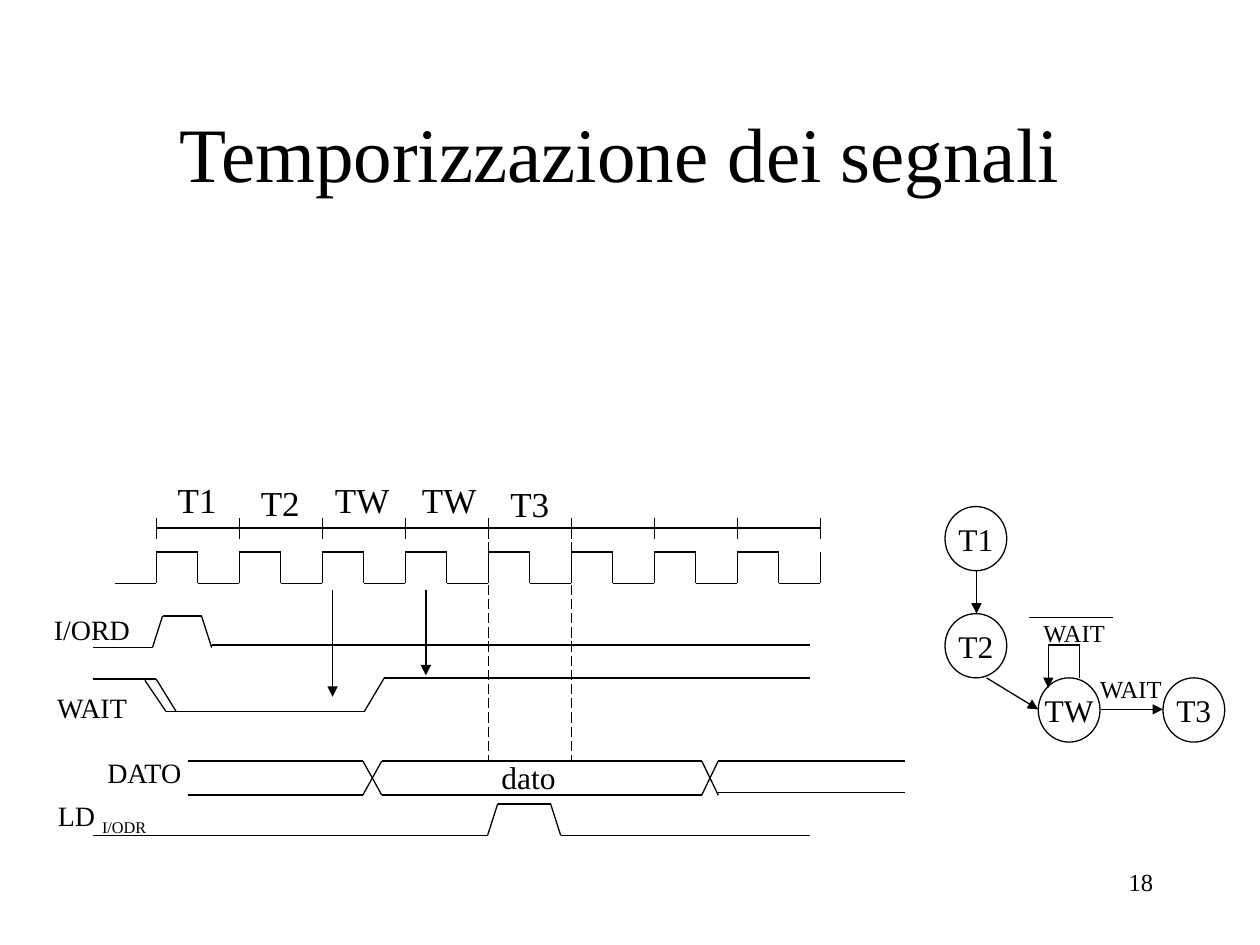
from dataclasses import dataclass
from itertools import pairwise

from lxml.etree import SubElement
from pptx import Presentation
from pptx.dml.color import RGBColor
from pptx.enum.dml import MSO_LINE as Dash
from pptx.enum.shapes import MSO_CONNECTOR as Link, MSO_SHAPE as Shape
from pptx.enum.text import MSO_ANCHOR as Anchor, PP_ALIGN as Align
from pptx.oxml.ns import qn
from pptx.util import Inches, Pt


@dataclass(frozen=True)
class Theme:
    """Hold the colours, type sizes and measures of the slide."""
    ink: RGBColor = RGBColor(0, 0, 0)
    face: str = "Times New Roman"
    title: int = 44
    phase: int = 20
    state: int = 18
    name: int = 16
    note: int = 14
    line: float = 0.75
    step: float = 5.27 / 8


THEME = Theme()


def style(para, size, align=Align.CENTER):
    """Give a paragraph the type of the slide."""
    para.alignment = align
    para.font.name = THEME.face
    para.font.size = Pt(size)
    para.font.color.rgb = THEME.ink


@dataclass
class Pen:
    """Draw lines and text relative to the corner of a region."""
    shapes: object
    left: float
    top: float

    def spot(self, x, y):
        """Turn a point of the region into slide lengths."""
        return Inches(self.left + x), Inches(self.top + y)

    def trace(self, *points, dash=None, arrow=False):
        """Join points with straight lines."""
        for start, end in pairwise(points):
            line = self.shapes.add_connector(
                Link.STRAIGHT, *self.spot(*start), *self.spot(*end))
            line.line.color.rgb = THEME.ink
            line.line.width = Pt(THEME.line)
            if dash:
                line.line.dash_style = dash
            if arrow:
                SubElement(line.line._get_or_add_ln(), qn("a:tailEnd"), type="triangle")
            SubElement(line._element.spPr, qn("a:effectLst"))

    def label(self, text, x, y, width, height, size, align=Align.CENTER):
        """Place a text and return its paragraph."""
        box = self.shapes.add_textbox(*self.spot(x, y), Inches(width), Inches(height))
        box.text_frame.word_wrap = False
        para = box.text_frame.paragraphs[0]
        para.text = text
        style(para, size, align)
        return para

    def state(self, text, x, y):
        """Place a state circle."""
        disc = self.shapes.add_shape(
            Shape.OVAL, *self.spot(x, y), Inches(0.49), Inches(0.51))
        disc.shadow.inherit = False
        disc.fill.background()
        disc.line.color.rgb = THEME.ink
        disc.line.width = Pt(THEME.line)
        frame = disc.text_frame
        frame.word_wrap = False
        frame.vertical_anchor = Anchor.MIDDLE
        frame.text = text
        style(frame.paragraphs[0], THEME.state)


def head(title, left, top, width, height):
    """Place and format the title."""
    title.left, title.top = Inches(left), Inches(top)
    title.width, title.height = Inches(width), Inches(height)
    title.text_frame.text = "Temporizzazione dei segnali"
    title.text_frame.vertical_anchor = Anchor.MIDDLE
    style(title.text_frame.paragraphs[0], THEME.title)


def ruler(pen):
    """Draw the clock periods and their names."""
    for i in range(9):
        x = i * THEME.step
        pen.trace((x, 0), (x, 0.17))
        if i < 8:
            pen.trace((x, 0.08), (x + THEME.step, 0.08))
    names = [("T1", 0.07, -0.36, 0.51), ("T2", 0.73, -0.34, 0.51),
             ("TW", 1.32, -0.36, 0.63), ("TW", 2.01, -0.36, 0.63),
             ("T3", 2.71, -0.33, 0.51)]
    for text, x, y, width in names:
        pen.label(text, x, y, width, 0.44, THEME.phase)


def clock(pen):
    """Draw the clock wave."""
    wave = [(0, 0.25), (0.33, 0.25)]
    for i in range(8):
        x = 0.33 + i * THEME.step
        half, end = x + THEME.step / 2, x + THEME.step
        wave += [(x, 0), (half, 0), (half, 0.25), (end, 0.25)]
    pen.trace(*wave, (end, 0))


def read(pen):
    """Draw the read signal."""
    pen.trace((0, 0.25), (0.47, 0.25), (0.55, 0), (0.86, 0), (0.94, 0.25))
    pen.trace((0.94, 0.23), (5.69, 0.23))
    pen.label("I/ORD", -0.41, -0.08, 0.8, 0.37, THEME.name)


def wait(pen):
    """Draw the wait signal."""
    pen.trace((0, 0), (0.5, 0), (0.66, 0.26), (2.15, 0.26), (2.31, -0.01), (5.69, -0.01))
    pen.trace((0.41, 0.01), (0.58, 0.26), (0.66, 0.26))
    pen.label("WAIT", -0.4, 0.04, 0.78, 0.37, THEME.name)


def data(pen):
    """Draw the data bus."""
    pen.trace((0, 0), (1.39, 0), (1.54, 0.27), (4.08, 0.27), (4.21, 0), (5.69, 0))
    pen.trace((0, 0.27), (1.39, 0.27), (1.54, 0), (4.08, 0), (4.21, 0.27))
    pen.trace((4.21, 0.25), (5.69, 0.25))
    pen.trace((4.64, -0.07), (4.64, -0.07))
    pen.label("DATO", -0.75, -0.09, 0.81, 0.37, THEME.name)
    pen.label("dato", 2.39, -0.07, 0.63, 0.4, THEME.state)


def load(pen):
    """Draw the load signal."""
    pen.trace((0, 0.25), (3.13, 0.25), (3.21, 0), (3.63, 0), (3.71, 0.25), (5.69, 0.25))
    para = pen.label("LD ", -0.38, -0.09, 0.9, 0.41, THEME.name)
    run = para.add_run()
    run.text = "I/ODR"
    run._r.get_or_add_rPr().set("baseline", "-25000")


def marks(pen):
    """Draw the sampling arrows and the T3 limits."""
    for i in (4, 5):
        x = i * THEME.step
        pen.trace((x, 0), (x, 1.86), dash=Dash.LONG_DASH)
    for x, end in ((1.4, 1.34), (2.14, 1.17)):
        pen.trace((x, 0.49), (x, end), arrow=True)


def states(pen):
    """Draw the state diagram."""
    for text, x, y in (("T1", 0, 0), ("T2", 0, 0.85), ("TW", 0.74, 1.36), ("T3", 1.73, 1.36)):
        pen.state(text, x, y)
    arrows = [((0.25, 0.51), (0.25, 0.85)), ((0.33, 1.36), (0.74, 1.61)),
              ((1.24, 1.61), (1.73, 1.61)), ((0.82, 1.1), (0.82, 1.44))]
    for ends in arrows:
        pen.trace(*ends, arrow=True)
    pen.trace((1.07, 1.36), (1.07, 1.1), (0.82, 1.1))
    pen.trace((0.67, 0.88), (1.33, 0.88))
    for x, y in ((0.67, 0.84), (1.12, 1.28)):
        pen.label("WAIT", x, y, 0.71, 0.34, THEME.note)


def main():
    """Build and save the slide."""
    deck = Presentation()
    deck.slide_width, deck.slide_height = Inches(10), Inches(7.5)
    slide = deck.slides.add_slide(deck.slide_layouts[5])
    head(slide.shapes.title, 0.67, 0.58, 8.5, 1.25)
    regions = [(ruler, 1.24, 4.11), (clock, 0.91, 4.38), (read, 0.74, 4.89),
               (wait, 0.74, 5.39), (data, 1.49, 6.04), (load, 0.74, 6.38),
               (marks, 1.24, 4.19), (states, 7.5, 4.02)]
    for draw, left, top in regions:
        draw(Pen(slide.shapes, left, top))
    Pen(slide.shapes, 7.17, 6.83).label("18", 0, 0, 2.08, 0.5, THEME.note, Align.RIGHT)
    deck.save("out.pptx")


if __name__ == "__main__":
    main()
